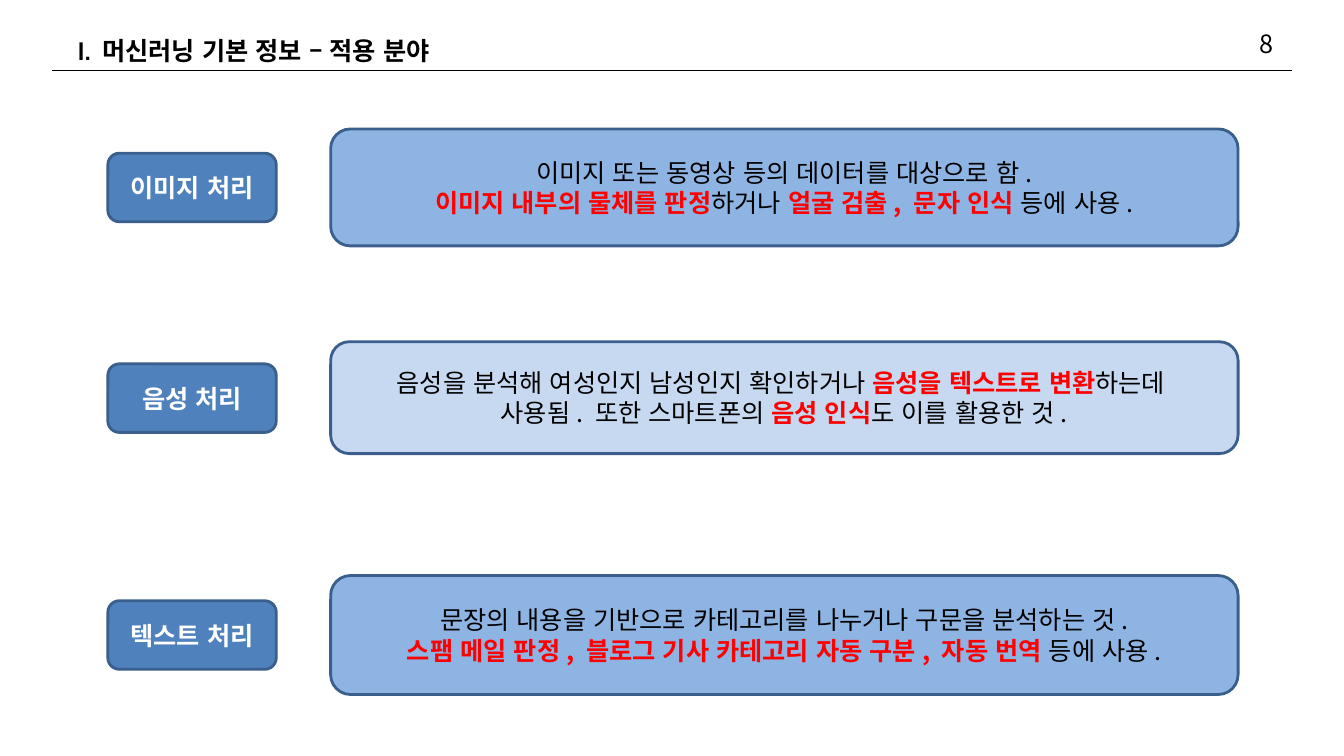
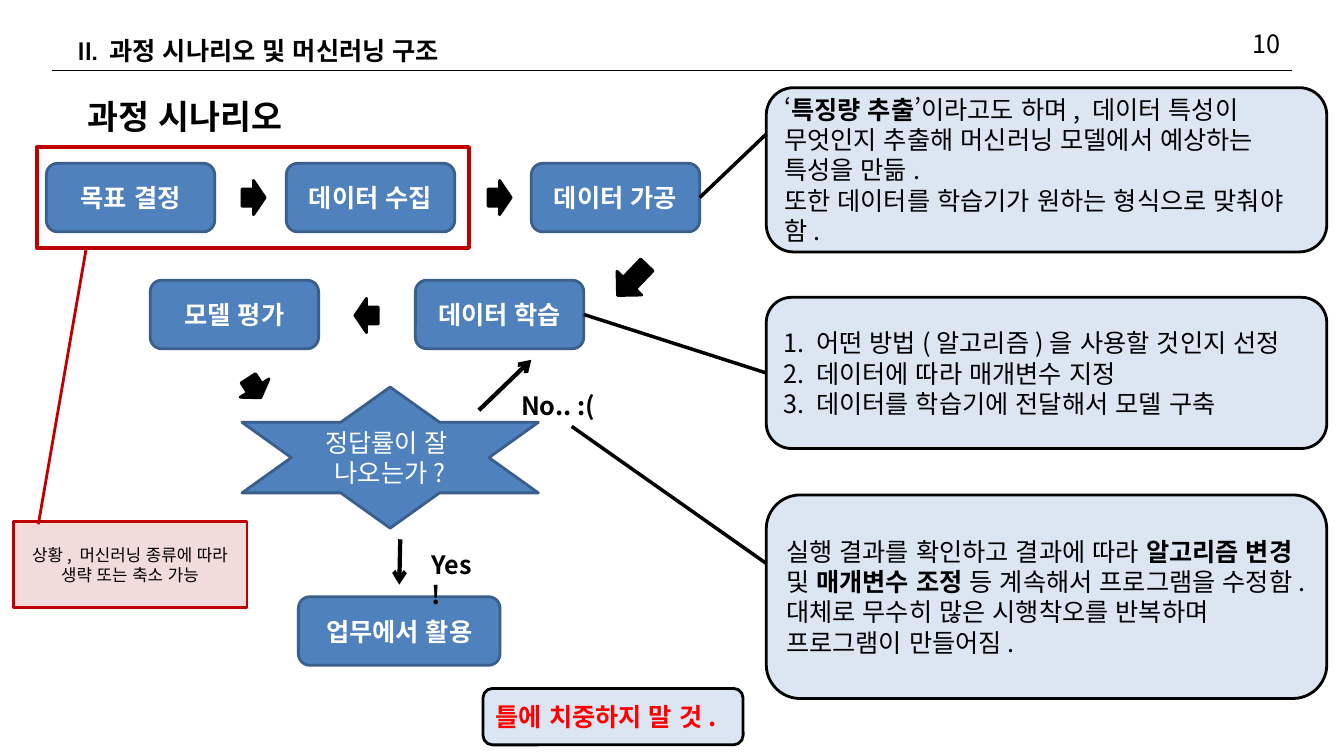
"""Build two slides on machine learning: fields of use and the process scenario."""
from dataclasses import dataclass

from lxml import etree
from pptx import Presentation
from pptx.dml.color import RGBColor
from pptx.enum.shapes import MSO_CONNECTOR, MSO_SHAPE as SHAPE
from pptx.enum.text import MSO_ANCHOR as ANCHOR, PP_ALIGN as ALIGN
from pptx.oxml.ns import qn
from pptx.util import Inches, Pt


@dataclass(frozen=True)
class Theme:
    black: str = "000000"
    white: str = "FFFFFF"
    red: str = "FF0000"
    dark_red: str = "C00000"
    pink: str = "F2DCDB"
    blue: str = "4F81BD"
    blue_edge: str = "3A5F8C"
    mid_blue: str = "8EB4E3"
    light_blue: str = "C6D9F1"
    pale_blue: str = "DCE6F2"
    font: str = "Noto Sans CJK KR"
    title_font: str = "Cabin"
    body: int = 18
    heading: int = 24
    small: int = 12


T = Theme()
BOLD = {"bold": True}
KEY = {"bold": True, "color": T.red}
STEP = {"bold": True, "color": T.white}
LEFT = {"align": ALIGN.LEFT}


def write(tf, paras, align=ALIGN.CENTER, **base):
    tf.word_wrap = True
    for i, runs in enumerate(paras):
        p = tf.paragraphs[0] if i == 0 else tf.add_paragraph()
        p.alignment = align
        for run in runs:
            text, own = (run, {}) if isinstance(run, str) else run
            style = {"font": T.font, "size": T.body, "color": T.black, "bold": False, **base, **own}
            r = p.add_run()
            r.text = text
            r.font.name = style["font"]
            r.font.size = Pt(style["size"])
            r.font.bold = style["bold"]
            r.font.color.rgb = RGBColor.from_string(style["color"])
            rPr = r._r.get_or_add_rPr()
            rPr.set("lang", "ko-KR")
            etree.SubElement(rPr, qn("a:ea"), typeface=T.font)


def draw(s, kind, at, fill, edge, paras=(), width=2, **style):
    sp = s.shapes.add_shape(kind, *map(Inches, at))
    sp.shadow.inherit = False
    if fill:
        sp.fill.solid()
        sp.fill.fore_color.rgb = RGBColor.from_string(fill)
    else:
        sp.fill.background()
    sp.line.color.rgb = RGBColor.from_string(edge)
    sp.line.width = Pt(width)
    sp.text_frame.vertical_anchor = ANCHOR.MIDDLE
    write(sp.text_frame, paras, **style)
    return sp


prs = Presentation()
prs.slide_width, prs.slide_height = Inches(13.33), Inches(7.5)
layout = prs.slide_layouts[5]
title = layout.placeholders[0]
title.left, title.top, title.width, title.height = map(Inches, (0.67, 0.3, 12, 0.4))
title.text_frame.vertical_anchor = ANCHOR.MIDDLE

headers = [
    (["I. ", ("머신러닝 ", {"font": "Arial"}), "기본 정보 – 적용 분야"], "8"),
    (["II. 과정 시나리오 및 머신러닝 구조"], "10"),
]
for runs, number in headers:
    s = prs.slides.add_slide(layout)
    write(s.shapes.title.text_frame, [runs], ALIGN.LEFT, font=T.title_font, bold=True)
    tb = s.shapes.add_textbox(*map(Inches, (12.32, 0.23, 0.49, 0.4)))
    write(tb.text_frame, [[number]])
fields, scenario = prs.slides

rows = [
    ("이미지 처리", 1.52, 1.28, 1.16, T.mid_blue, [
        ["이미지 또는 동영상 등의 데이터를 대상으로 함."],
        [("이미지 내부의 물체를 판정", KEY), "하거나 ", ("얼굴 검출, 문자 인식 ", KEY), "등에 사용."],
    ]),
    ("음성 처리", 3.61, 3.39, 1.11, T.light_blue, [
        ["음성을 분석해 여성인지 남성인지 확인하거나 ", ("음성을 텍스트로 변환", KEY), "하는데 "],
        ["사용됨. 또한 스마트폰의 ", ("음성 인식", KEY), "도 이를 활용한 것."],
    ]),
    ("텍스트 처리", 5.96, 5.71, 1.18, T.mid_blue, [
        ["문장의 내용을 기반으로 카테고리를 나누거나 구문을 분석하는 것."],
        [("스팸 메일 판정, 블로그 기사 카테고리 자동 구분, 자동 번역", KEY), " 등에 사용."],
    ]),
]
for label, label_y, y, h, fill, paras in rows:
    draw(fields, SHAPE.ROUNDED_RECTANGLE, (1.07, label_y, 1.67, 0.68), T.blue, T.blue_edge, [[label]], **STEP)
    draw(fields, SHAPE.ROUNDED_RECTANGLE, (3.28, y, 9, h), fill, T.blue_edge, paras)

steps = {}
for label, x, y, w in [
    ("목표 결정", 0.46, 1.62, 1.67),
    ("데이터 수집", 2.84, 1.62, 1.67),
    ("데이터 가공", 5.27, 1.62, 1.67),
    ("데이터 학습", 4.12, 2.78, 1.67),
    ("모델 평가", 1.49, 2.78, 1.67),
    ("업무에서 활용", 2.96, 5.92, 2),
]:
    steps[label] = draw(scenario, SHAPE.ROUNDED_RECTANGLE, (x, y, w, 0.68), T.blue, T.blue_edge, [[label]], **STEP)

for x, y, w, angle in [
    (2.4, 1.79, 0.23, 0),
    (4.84, 1.79, 0.23, 0),
    (6.06, 2.61, 0.42, 133.8),
    (3.52, 2.96, 0.23, 180),
    (2.41, 3.68, 0.23, 57.4),
]:
    draw(scenario, SHAPE.RIGHT_ARROW, (x, y, w, 0.34), T.black, T.black).rotation = angle

draw(scenario, SHAPE.STAR_6_POINT, (2.4, 3.84, 2.94, 1.4), T.blue, T.blue_edge,
     [["정답률이 잘 "], ["나오는가?"]], color=T.white)

notes = []
for y, h, paras in [
    (0.87, 1.63, [
        ["‘", ("특징량 추출", BOLD), "’이라고도 하며, 데이터 특성이 무엇인지 추출해 머신러닝 모델에서 예상하는 특성을 만듦."],
        ["또한 데이터를 학습기가 원하는 형식으로 맞춰야 함."],
    ]),
    (2.95, 1.5, [
        ["1. 어떤 방법(알고리즘)을 사용할 것인지 선정"],
        ["2. 데이터에 따라 매개변수 지정"],
        ["3. 데이터를 학습기에 전달해서 모델 구축"],
    ]),
    (4.91, 2.02, [
        ["실행 결과를 확인하고 결과에 따라 ", ("알고리즘 변경", BOLD), " 및 ", ("매개변수 조정 ", BOLD),
         "등 계속해서 프로그램을 수정함."],
        ["대체로 무수히 많은 시행착오를 반복하며 프로그램이 만들어짐."],
    ]),
]:
    notes.append(draw(scenario, SHAPE.ROUNDED_RECTANGLE, (7.6, y, 5.56, h), T.pale_blue, T.black, paras, **LEFT))

for text, at, size in [
    ("Yes!", (4.18, 5.4, 0.66, 0.4), T.body),
    ("No.. :(", (5.07, 3.82, 1.49, 0.4), T.body),
    ("과정 시나리오", (0.77, 0.9, 2.39, 0.5), T.heading),
]:
    tb = scenario.shapes.add_textbox(*map(Inches, at))
    write(tb.text_frame, [[text]], ALIGN.LEFT, size=size, bold=True)

draw(scenario, SHAPE.RECTANGLE, (0.37, 1.46, 4.28, 1), None, T.dark_red, width=3)
callout = draw(scenario, SHAPE.LINE_CALLOUT_1, (0.13, 5.17, 2.32, 0.86), T.pink, T.dark_red,
               [["상황, 머신러닝 종류에 따라 생략 또는 축소 가능"]], size=T.small)
for i, value in enumerate((0.036, 0.108, -3.136, 0.312)):
    callout.adjustments[i] = value
draw(scenario, SHAPE.ROUNDED_RECTANGLE, (4.79, 6.83, 2.58, 0.56), T.pale_blue, T.black,
     [["틀에 치중하지 말 것."]], **LEFT, **KEY)

lines = []
for s, ends, width, arrow, start, stop in [
    (fields, (0.52, 0.7, 12.81, 0.7), 0.75, False, None, None),
    (scenario, (4.75, 4.07, 5.27, 3.57), 3, True, None, None),
    (scenario, (3.97, 5.35, 3.96, 5.8), 3, True, None, None),
    (scenario, (6.94, 1.96, 7.6, 1.33), 2.5, False, steps["데이터 가공"], None),
    (scenario, (5.79, 3.12, 7.6, 3.7), 2.5, False, steps["데이터 학습"], notes[1]),
    (scenario, (5.67, 4.23, 7.6, 5.59), 2.5, False, None, None),
]:
    c = s.shapes.add_connector(MSO_CONNECTOR.STRAIGHT, *map(Inches, ends))
    c.line.color.rgb = RGBColor.from_string(T.black)
    c.line.width = Pt(width)
    spPr = c.element.spPr
    if arrow:
        etree.SubElement(spPr.find(qn("a:ln")), qn("a:tailEnd"), type="arrow")
    etree.SubElement(spPr, qn("a:effectLst"))
    if start:
        c.begin_connect(start, 3)
    if stop:
        c.end_connect(stop, 1)
    lines.append(c)

title_rule = lines[0]
layout.shapes.element.append(title_rule.element)

prs.save("out.pptx")
